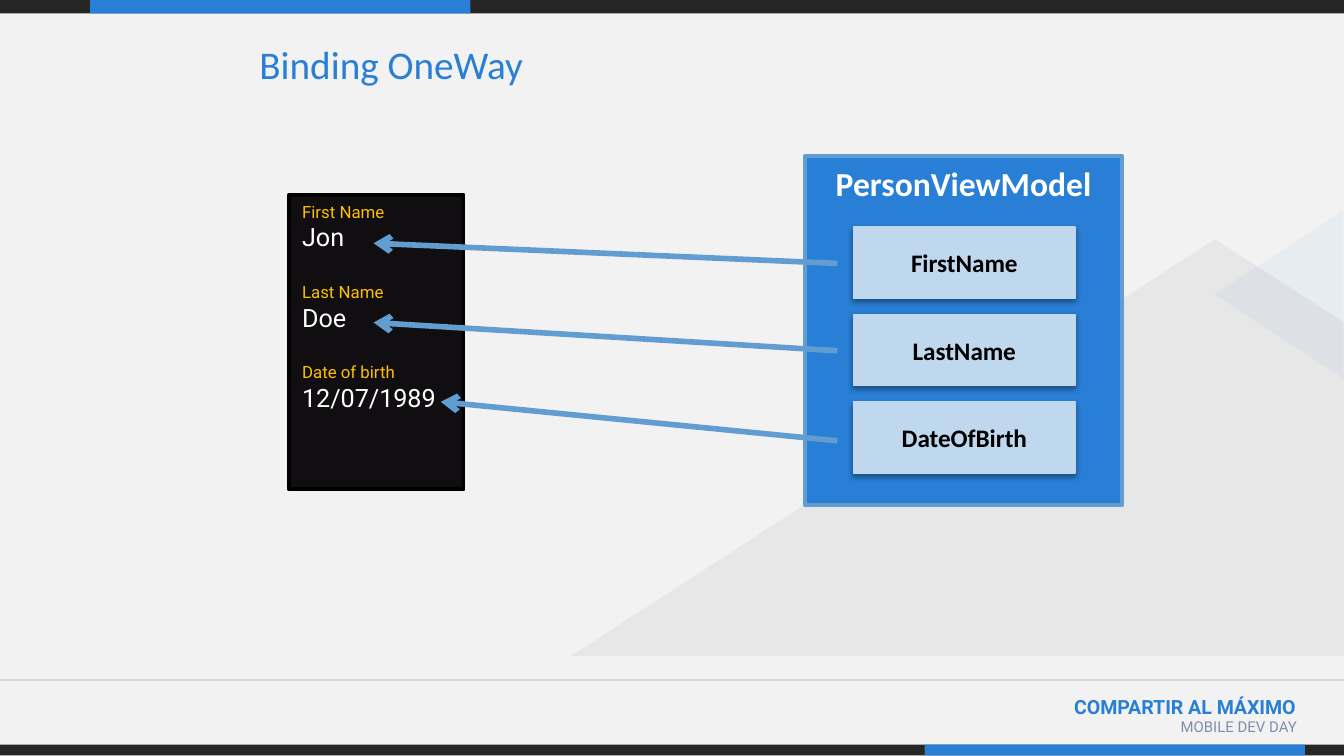
from lxml import etree
from pptx import Presentation
from pptx.dml.color import RGBColor
from pptx.enum.shapes import MSO_CONNECTOR as Line, MSO_SHAPE as Shape
from pptx.enum.text import MSO_ANCHOR as Anchor, PP_ALIGN as Align
from pptx.oxml.ns import qn
from pptx.util import Inches, Pt

BLUE, DARK, SKY, PALE = "297FD5", "262626", "629DD1", "C0D8ED"
WHITE, BLACK, GOLD, GREY = "FFFFFF", "000000", "FFC000", "7F8FA9"


def color(hex_code):
    return RGBColor.from_string(hex_code)


def set_alpha(parent, percent):
    tint = next(parent.iter(qn("a:srgbClr")))
    etree.SubElement(tint, qn("a:alpha"), val=str(percent * 1000))


def style(shape, fill, line=None, width=1, opacity=100):
    shape.shadow.inherit = False
    shape.fill.solid()
    shape.fill.fore_color.rgb = color(fill)
    if opacity < 100:
        set_alpha(shape._element.spPr.find(qn("a:solidFill")), opacity)
    if line:
        shape.line.color.rgb = color(line)
        shape.line.width = Pt(width)
    else:
        shape.line.fill.background()
    return shape


def add_box(page, box, fill, line=None, width=1, kind=Shape.RECTANGLE, opacity=100):
    shape = page.shapes.add_shape(kind, *map(Inches, box))
    return style(shape, fill, line, width, opacity)


def add_label(page, box):
    label = page.shapes.add_textbox(*map(Inches, box))
    label.text_frame.word_wrap = True
    return label


def write(para, text, size, font, fill, bold=False, align=Align.LEFT):
    para.text = text
    para.alignment = align
    para.font.size = Pt(size)
    para.font.name = font
    para.font.bold = bold
    para.font.color.rgb = color(fill)


def add_line(page, start, end, fill, width, arrow=False):
    line = page.shapes.add_connector(Line.STRAIGHT, *map(Inches, start + end))
    line.line.color.rgb = color(fill)
    line.line.width = Pt(width)
    if arrow:
        outline = line._element.spPr.find(qn("a:ln"))
        etree.SubElement(outline, qn("a:tailEnd"), type="arrow")
    etree.SubElement(line._element.spPr, qn("a:effectLst"))


def add_drop_shadow(shape):
    effects = shape._element.spPr.find(qn("a:effectLst"))
    shadow = etree.SubElement(effects, qn("a:outerShdw"), blurRad=str(Pt(3.1)),
                              dist=str(Pt(1.6)), dir="5400000", rotWithShape="0")
    etree.SubElement(shadow, qn("a:srgbClr"), val=BLACK)
    set_alpha(shadow, 38)


def draw_band(page, box, accent_left):
    """Dark strip with a blue section."""
    left, top, width, height = box
    add_box(page, box, DARK)
    add_box(page, (left + accent_left, top, 2.83, height), BLUE)


def draw_mountains(page, box):
    """Translucent peaks in the lower right corner."""
    left, top, width, height = box
    right, bottom = left + width, top + height
    outline = [(right, bottom), (right, top + 0.62), (left + 4.79, top), (left, bottom)]
    points = [(Inches(x), Inches(y)) for x, y in outline]
    builder = page.shapes.build_freeform(*points[0])
    builder.add_line_segments(points[1:], close=True)
    style(builder.convert_to_shape(), DARK, opacity=5)
    peak = add_box(page, (left + 4.64, top - 0.07, 1.25, 0.96), BLUE,
                   kind=Shape.ISOSCELES_TRIANGLE, opacity=5)
    peak.rotation = 270


def draw_footer(page, box):
    """Event name above the bottom band, under a thin rule."""
    left, top, width, height = box
    event = add_label(page, (left + 6.75, top + 0.06, 2.99, 0.4))
    write(event.text_frame.paragraphs[0], "COMPARTIR AL MÁXIMO", 10.5, "Roboto",
          BLUE, True, Align.RIGHT)
    day = add_label(page, (left + 7.94, top + 0.23, 1.81, 0.31))
    write(day.text_frame.paragraphs[0], "MOBILE DEV DAY", 8, "Roboto", GREY,
          align=Align.RIGHT)
    draw_band(page, (left, top + height - 0.08, width, 0.08), 6.88)
    add_line(page, (left, top), (left + width, top), "D9D9D9", 0.75)


def draw_title(page, box, text):
    frame = add_label(page, box).text_frame
    frame.vertical_anchor = Anchor.MIDDLE
    frame.margin_left = frame.margin_right = Inches(0.07)
    frame.margin_top = frame.margin_bottom = Inches(0.04)
    write(frame.paragraphs[0], text, 21, "Calibri", BLUE)


def draw_view_model(page, box, name, properties):
    """Class box with one evenly spaced card for each property."""
    left, top, width, height = box
    frame = add_box(page, box, BLUE, SKY, 2).text_frame
    frame.vertical_anchor = Anchor.TOP
    write(frame.paragraphs[0], name, 18, "Calibri", WHITE, True, Align.CENTER)
    for row, text in enumerate(properties):
        card = add_box(page, (left + 0.36, top + 0.53 + 0.65 * row, 1.65, 0.53),
                       PALE, PALE, 0.75)
        add_drop_shadow(card)
        card.text_frame.vertical_anchor = Anchor.MIDDLE
        write(card.text_frame.paragraphs[0], text, 13.5, "Calibri", BLACK, True,
              Align.CENTER)


def draw_phone(page, box, fields):
    """Phone screen listing captions and values."""
    frame = add_box(page, box, "100E10", BLACK, 2).text_frame
    frame.vertical_anchor = Anchor.TOP
    for row, (caption, value) in enumerate(fields):
        para = frame.add_paragraph() if row else frame.paragraphs[0]
        if row:
            para.space_before = Pt(16)
        write(para, caption, 9, "Roboto", GOLD)
        write(frame.add_paragraph(), value, 13.5, "Roboto", WHITE)


def draw_bindings(page, box, links):
    """Arrows from the view model back to the phone."""
    left, top, width, height = box
    for start_y, end_x, end_y in links:
        add_line(page, (left + width, top + start_y), (left + end_x, top + end_y),
                 SKY, 3, arrow=True)


def main():
    deck = Presentation()
    deck.slide_width = Inches(10)
    deck.slide_height = deck.slide_width * 9 // 16
    page = deck.slides.add_slide(deck.slide_layouts[6])
    page.background.fill.solid()
    page.background.fill.fore_color.rgb = color("F2F2F2")

    # Frame of the page
    draw_band(page, (0, 0, 10, 0.1), 0.67)
    draw_footer(page, (0, 5.06, 10, 0.56))
    draw_mountains(page, (4.25, 1.78, 5.75, 3.1))

    # Binding diagram
    draw_title(page, (1.86, 0.33, 6.52, 0.29), "Binding OneWay")
    draw_view_model(page, (5.99, 1.16, 2.36, 2.6), "PersonViewModel",
                    ["FirstName", "LastName", "DateOfBirth"])
    draw_phone(page, (2.15, 1.45, 1.3, 2.19),
               [("First Name", "Jon"), ("Last Name", "Doe"),
                ("Date of birth", "12/07/1989")])
    draw_bindings(page, (2.78, 1.81, 3.45, 1.47),
                  [(0.15, 0, 0), (0.8, 0, 0.59), (1.47, 0.5, 1.18)])
    deck.save("out.pptx")


if __name__ == "__main__":
    main()
